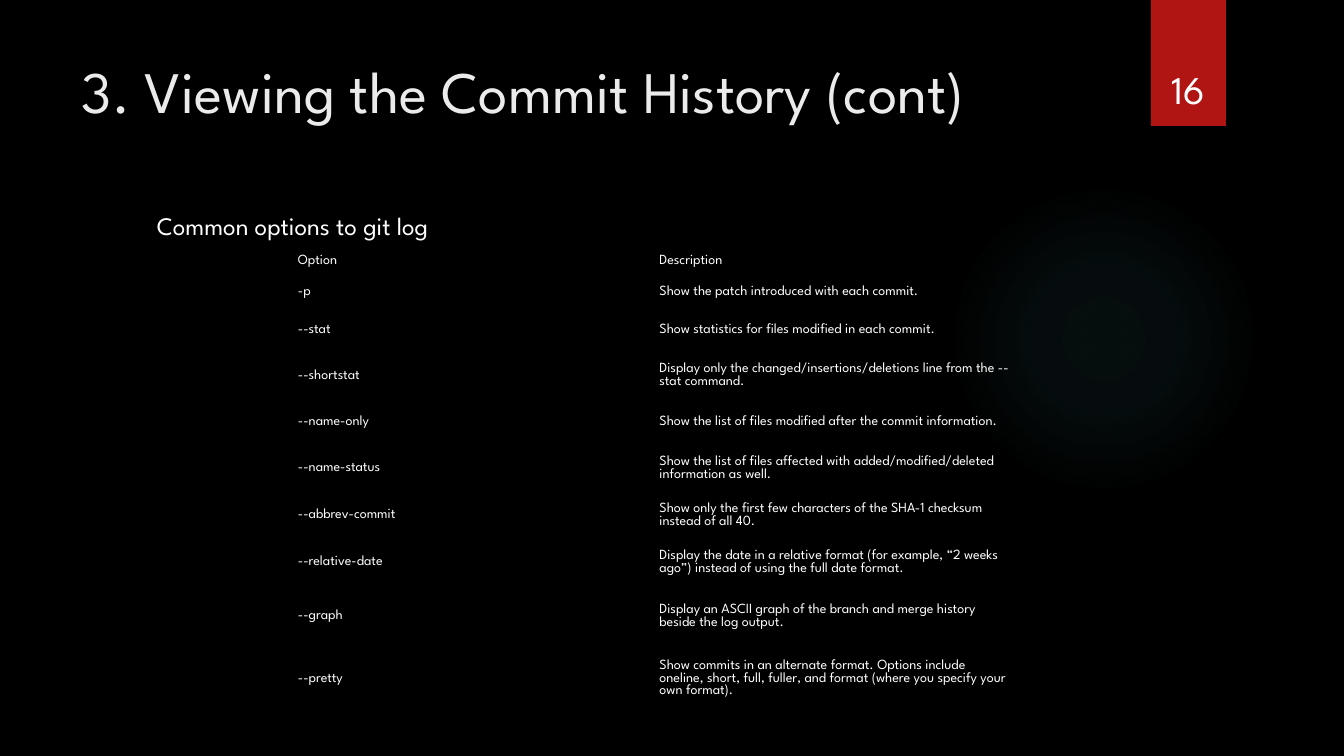
from pptx import Presentation, util as u
from pptx.dml.color import RGBColor
from pptx.enum import shapes, text
from pptx.oxml import parse_xml
from pptx.oxml.ns import nsdecls, qn
from dataclasses import dataclass

PX = 914400 / 100.8
NO_GRID = "{2D5ABB26-0587-4C30-8999-92F81FD0307C}"


@dataclass(frozen=True)
class Theme:
    font: str = "League Spartan"
    back: str = "000000"
    ribbon: str = "B01513"
    glow: str = "50B9C1"
    heading: str = "EBEBEB"
    body: str = "FFFFFF"
    title_size: int = 42
    number_size: int = 28
    label_size: int = 18
    cell_size: int = 10


THEME = Theme()
ROW_HEIGHTS = [22, 38, 38, 54, 38, 55, 38, 54, 54, 71]
OPTIONS = [
    ("Option", "Description"),
    ("-p", "Show the patch introduced with each commit."),
    ("--stat", "Show statistics for files modified in each commit."),
    ("--shortstat", "Display only the changed/insertions/deletions line from the --stat command."),
    ("--name-only", "Show the list of files modified after the commit information."),
    ("--name-status", "Show the list of files affected with added/modified/deleted information as well."),
    ("--abbrev-commit", "Show only the first few characters of the SHA-1 checksum instead of all 40."),
    ("--relative-date", "Display the date in a relative format (for example, “2 weeks ago”) "
                        "instead of using the full date format."),
    ("--graph", "Display an ASCII graph of the branch and merge history beside the log output."),
    ("--pretty", "Show commits in an alternate format. Options include oneline, short, full, fuller, "
                 "and format (where you specify your own format)."),
]


def px(length):
    return u.Emu(round(length * PX))


def set_all(target, values):
    for name, value in values.items():
        setattr(target, name, value)


def write(para, words, size, color):
    span = para.add_run()
    span.text = words
    set_all(span.font, {"name": THEME.font, "size": u.Pt(size)})
    span.font.color.rgb = RGBColor.from_string(color)


def add_text(page, box, words, size, color, frame=None, para=None):
    area = page.shapes.add_textbox(*map(px, box)).text_frame
    set_all(area, {"word_wrap": True, **(frame or {})})
    set_all(area.paragraphs[0], para or {})
    write(area.paragraphs[0], words, size, color)


def add_plain_shape(page, kind, box):
    shape = page.shapes.add_shape(kind, *map(px, box))
    shape.shadow.inherit = False
    shape.line.fill.background()
    return shape


def add_glow(page, box):
    # Radial gradient that fades to transparent
    glow = add_plain_shape(page, shapes.MSO_SHAPE.OVAL, box)
    stops = "".join(
        f'<a:gs pos="{place * 1000}"><a:srgbClr val="{THEME.glow}">'
        f'<a:alpha val="{alpha * 1000}"/></a:srgbClr></a:gs>'
        for place, alpha in [(0, 7), (36, 6), (69, 0)])
    gradient = parse_xml(
        f'<a:gradFill {nsdecls("a")}><a:gsLst>{stops}</a:gsLst><a:path path="circle">'
        '<a:fillToRect l="50000" t="50000" r="50000" b="50000"/></a:path></a:gradFill>')
    glow._element.spPr.find(qn("a:prstGeom")).addnext(gradient)


def add_ribbon(page, box, number):
    left, top, width, height = box
    ribbon = add_plain_shape(page, shapes.MSO_SHAPE.RECTANGLE, box)
    ribbon.fill.solid()
    ribbon.fill.fore_color.rgb = RGBColor.from_string(THEME.ribbon)
    # Page number near the foot of the ribbon
    add_text(page, (left - 9, top + 32, width + 17, height - 41), number,
             THEME.number_size, THEME.body,
             {"vertical_anchor": text.MSO_ANCHOR.BOTTOM},
             {"alignment": text.PP_ALIGN.CENTER})


def add_options(page, box):
    table = page.shapes.add_table(len(OPTIONS), 2, *map(px, box)).table
    set_all(table, {"first_row": False, "horz_banding": False})
    table._tbl.tblPr.find(qn("a:tableStyleId")).text = NO_GRID
    for column in table.columns:
        column.width = px(box[2] / 2)
    for row, height, entries in zip(table.rows, ROW_HEIGHTS, OPTIONS):
        row.height = px(height)
        for cell, words in zip(row.cells, entries):
            cell.fill.background()
            set_all(cell, {"vertical_anchor": text.MSO_ANCHOR.MIDDLE,
                           "margin_left": px(5), "margin_right": px(5),
                           "margin_top": px(3), "margin_bottom": px(3)})
            write(cell.text_frame.paragraphs[0], words, THEME.cell_size, THEME.body)


def build_page(page, box):
    left, top, width, height = box
    page.background.fill.solid()
    page.background.fill.fore_color.rgb = RGBColor.from_string(THEME.back)
    # Decoration
    add_glow(page, (left + 949, top + 184, 310, 310))
    add_ribbon(page, (left + 1151, top, 75, 126), "16")
    # Heading and label
    add_text(page, (left + 72, top + 50, 1037, 154),
             "3. Viewing the Commit History (cont)", THEME.title_size, THEME.heading)
    add_text(page, (left + 147, top + 205, 351, 40), "Common options to git log",
             THEME.label_size, THEME.body, {"word_wrap": False})
    # Table of options
    add_options(page, (left + 293, top + 250, 723, sum(ROW_HEIGHTS)))


def main():
    deck = Presentation()
    set_all(deck, {"slide_width": px(1344), "slide_height": px(756)})
    page = deck.slides.add_slide(deck.slide_layouts[6])
    build_page(page, (0, 0, 1344, 756))
    deck.save("out.pptx")


if __name__ == "__main__":
    main()
